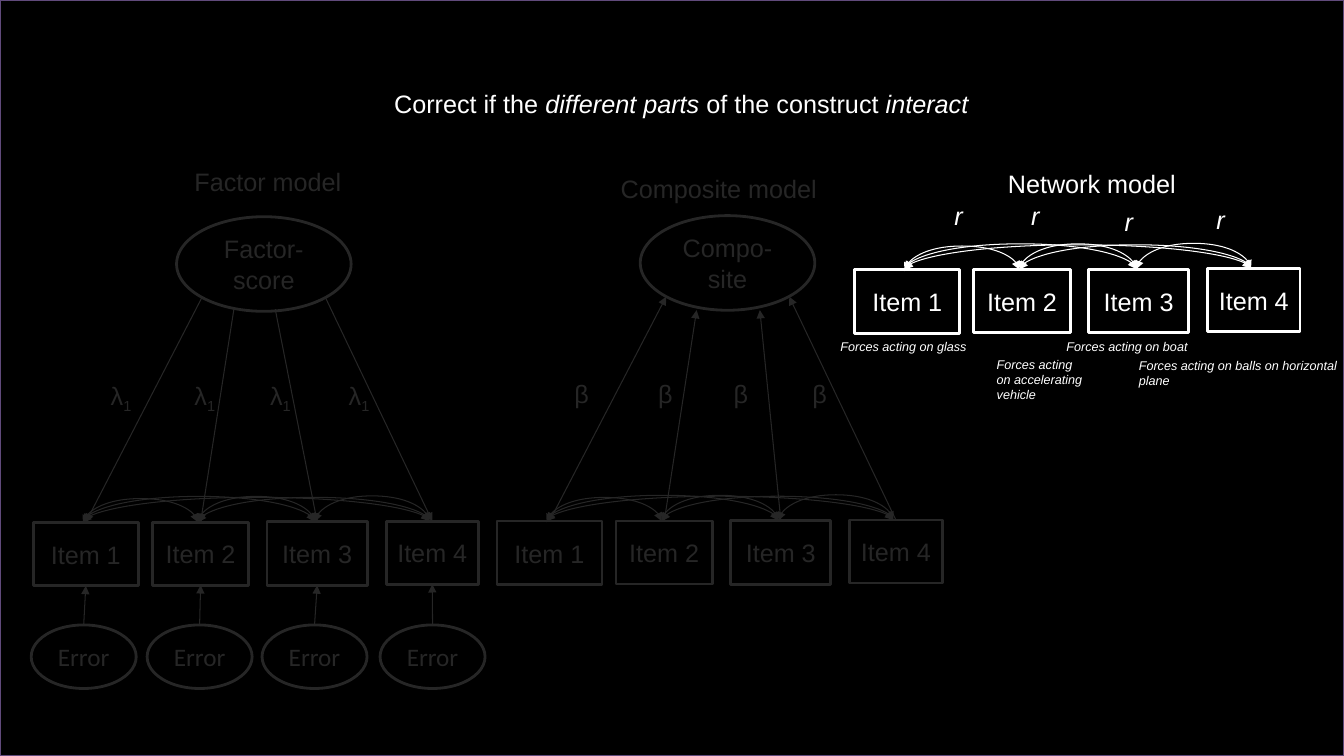
from dataclasses import dataclass
from itertools import combinations

from lxml import etree
from pptx import Presentation
from pptx.dml.color import RGBColor
from pptx.enum.shapes import MSO_CONNECTOR, MSO_SHAPE
from pptx.enum.text import MSO_ANCHOR, MSO_AUTO_SIZE, PP_ALIGN
from pptx.oxml.ns import qn
from pptx.util import Pt

RECTANGLE, OVAL = MSO_SHAPE.RECTANGLE, MSO_SHAPE.OVAL
STRAIGHT, CURVE = MSO_CONNECTOR.STRAIGHT, MSO_CONNECTOR.CURVE
TOP_SITE, BOTTOM_SITE = 0, 2
BLACK, DIMMED, WHITE, PURPLE = "000000", "262626", "FFFFFF", "604A7B"
SLIDE_WIDTH, SLIDE_HEIGHT = 960, 540
ARC_LIFT = 18


@dataclass
class Item:
    left: float
    top: float
    width: float
    height: float
    arc_x: float


@dataclass
class Panel:
    """A row of items; left and top are those of its first item."""
    left: float
    top: float
    color: str


@dataclass
class LatentModel:
    panel: Panel
    oval_text: str
    weight: str
    subscript: str
    oval_ends: list[tuple[float, float]]
    to_items: bool


@dataclass
class Label:
    text: str
    left: float
    top: float
    width: float
    color: str
    size: float = 18
    italic: bool = False


# Offsets from the first item of a panel
ITEMS = [Item(0, 0, 75, 45.5, 35.5), Item(85, 0, 69, 45, 117.6),
         Item(167, -0.36, 71.5, 45.5, 201), Item(252, -0.72, 66, 45, 283)]
OVAL_LEFT, OVAL_TOP, OVAL_WIDTH, OVAL_HEIGHT = 102.3, -218.2, 124.7, 67.6
WEIGHT_LEFTS, WEIGHT_TOP = [48.2, 108, 162, 218.2], -105.2
ERROR_LEFTS, ERROR_TOP = [-1.5, 81.3, 163.4, 247.7], 73.4

FACTOR = Panel(23.8, 373, DIMMED)
COMPOSITE = Panel(355, 372.2, DIMMED)
NETWORK = Panel(610.6, 192.6, WHITE)
MODELS = [
    LatentModel(FACTOR, "Factor-score", "λ", "1",
                [(18, 58), (41, 66), (70.5, 66), (106.5, 58)], True),
    LatentModel(COMPOSITE, "Compo-site", "β", "",
                [(18.5, 58), (40.3, 67.5), (85.5, 67.5), (106.5, 58)], False),
]
LABELS = [
    Label("Factor model", 131.8, 115.2, 150, DIMMED),
    Label("Composite model", 436.3, 120.2, 384, DIMMED),
    Label("Network model", 712.8, 116.6, 384, WHITE),
    Label("Forces acting on glass", 593.3, 238.3, 225, WHITE, 9, True),
    Label("Forces acting on accelerating vehicle", 704.9, 251.3, 78, WHITE, 9, True),
    Label("Forces acting on boat", 754.6, 238.3, 120, WHITE, 9, True),
    Label("Forces acting on balls on horizontal plane", 806.4, 252, 174, WHITE, 9, True),
] + [Label("r", left, top, 56, WHITE, 18, True)
     for left, top in [(674.6, 139.7), (729.4, 139.7), (796.3, 144), (861.8, 142.6)]]
TITLE_RUNS = [("Correct if the ", False), ("different parts ", True),
              ("of the construct ", False), ("interact", True)]


def rgb(color: str) -> RGBColor:
    return RGBColor.from_string(color)


def format_run(run, color: str, size: float = 18, italic: bool = False,
               font: str = "Arial") -> None:
    run.font.name = font
    run.font.size = Pt(size)
    run.font.italic = italic
    run.font.color.rgb = rgb(color)


def add_label(slide, label: Label):
    box = slide.shapes.add_textbox(Pt(label.left), Pt(label.top), Pt(label.width),
                                   Pt(label.size * 1.2 + 7.2))
    frame = box.text_frame
    frame.word_wrap = True
    frame.auto_size = MSO_AUTO_SIZE.SHAPE_TO_FIT_TEXT
    frame.text = label.text
    format_run(frame.paragraphs[0].runs[0], label.color, label.size, label.italic)
    return box


def add_outline(slide, kind, left: float, top: float, width: float, height: float,
                color: str, text: str = "", font: str = "Arial"):
    shape = slide.shapes.add_shape(kind, Pt(left), Pt(top), Pt(width), Pt(height))
    shape.shadow.inherit = False
    shape.fill.background()
    shape.line.color.rgb = rgb(color)
    shape.line.width = Pt(2)
    if text:
        shape.text_frame.text = text
        paragraph = shape.text_frame.paragraphs[0]
        paragraph.alignment = PP_ALIGN.CENTER
        format_run(paragraph.runs[0], color, font=font)
    return shape


def add_arrow(slide, kind, start: tuple[float, float], end: tuple[float, float],
              color: str, both_ends: bool = False):
    arrow = slide.shapes.add_connector(kind, *(Pt(value) for value in start + end))
    arrow.line.color.rgb = rgb(color)
    arrow.line.width = Pt(0.75)
    line = arrow.line._get_or_add_ln()
    for tag in ["a:headEnd", "a:tailEnd"] if both_ends else ["a:tailEnd"]:
        etree.SubElement(line, qn(tag), type="triangle")
    etree.SubElement(arrow._element.spPr, qn("a:effectLst"))
    return arrow


def add_arc(slide, panel: Panel, first: Item, second: Item) -> None:
    # A quarter-turned curve: its width is the rise, its height the span
    rise = (first.top - second.top) or 1
    span = second.arc_x - first.arc_x
    center_x = panel.left + (first.arc_x + second.arc_x) / 2
    center_y = panel.top + second.top + rise / 2
    left, top = center_x - rise / 2, center_y - span / 2
    arc = add_arrow(slide, CURVE, (left, top), (left + rise, top + span),
                    panel.color, both_ends=True)
    properties = arc._element.spPr
    transform = properties.find(qn("a:xfrm"))
    for name, value in [("rot", "5400000"), ("flipH", "1"), ("flipV", "1")]:
        transform.set(name, value)
    adjustments = properties.find(qn("a:prstGeom")).get_or_add_avLst()
    etree.SubElement(adjustments, qn("a:gd"), name="adj1",
                     fmla=f"val {round(ARC_LIFT / rise * 100000)}")


def add_items(slide, panel: Panel) -> list:
    boxes = [add_outline(slide, RECTANGLE, panel.left + item.left, panel.top + item.top,
                         item.width, item.height, panel.color, f"Item {number}")
             for number, item in enumerate(ITEMS, 1)]
    for first, second in combinations(ITEMS, 2):
        add_arc(slide, panel, first, second)
    return boxes


def add_latent_model(slide, model: LatentModel) -> list:
    panel = model.panel
    boxes = add_items(slide, panel)
    left, top = panel.left + OVAL_LEFT, panel.top + OVAL_TOP
    add_outline(slide, OVAL, left, top, OVAL_WIDTH, OVAL_HEIGHT, panel.color, model.oval_text)
    for box, (x, y), weight_left in zip(boxes, model.oval_ends, WEIGHT_LEFTS):
        end = (left + x, top + y)
        arrow = add_arrow(slide, STRAIGHT, end, end, panel.color)
        join = arrow.end_connect if model.to_items else arrow.begin_connect
        join(box, TOP_SITE)
        label = add_label(slide, Label(model.weight, panel.left + weight_left,
                                       panel.top + WEIGHT_TOP, 56, panel.color))
        if model.subscript:
            run = label.text_frame.paragraphs[0].add_run()
            run.text = model.subscript
            format_run(run, panel.color)
            run._r.get_or_add_rPr().set("baseline", "-25000")
    return boxes


def add_errors(slide, panel: Panel, boxes: list) -> None:
    for box, left in zip(boxes, ERROR_LEFTS):
        error = add_outline(slide, OVAL, panel.left + left, panel.top + ERROR_TOP,
                            75, 45.4, panel.color, "Error", "Calibri")
        arrow = add_arrow(slide, STRAIGHT, (0, 0), (0, 0), panel.color)
        arrow.begin_connect(error, TOP_SITE)
        arrow.end_connect(box, BOTTOM_SITE)


def add_title(slide) -> None:
    title = slide.shapes.title
    title.left, title.top, title.width, title.height = Pt(274.3), Pt(59.8), Pt(601), Pt(28.8)
    frame = title.text_frame
    frame.auto_size = MSO_AUTO_SIZE.NONE
    frame.vertical_anchor = MSO_ANCHOR.TOP
    paragraph = frame.paragraphs[0]
    paragraph.alignment = PP_ALIGN.LEFT
    for text, italic in TITLE_RUNS:
        run = paragraph.add_run()
        run.text = text
        format_run(run, WHITE, italic=italic)


def main() -> None:
    presentation = Presentation()
    presentation.slide_width, presentation.slide_height = Pt(SLIDE_WIDTH), Pt(SLIDE_HEIGHT)
    slide = presentation.slides.add_slide(presentation.slide_layouts[5])
    slide.background.fill.solid()
    slide.background.fill.fore_color.rgb = rgb(BLACK)

    # Frame and title
    add_outline(slide, RECTANGLE, 0, 0, SLIDE_WIDTH, SLIDE_HEIGHT, PURPLE)
    add_title(slide)

    # Three models
    factor_boxes, _ = [add_latent_model(slide, model) for model in MODELS]
    add_errors(slide, FACTOR, factor_boxes)
    add_items(slide, NETWORK)

    # Headings, correlations and captions
    for label in LABELS:
        add_label(slide, label)
    presentation.save("out.pptx")


if __name__ == "__main__":
    main()
